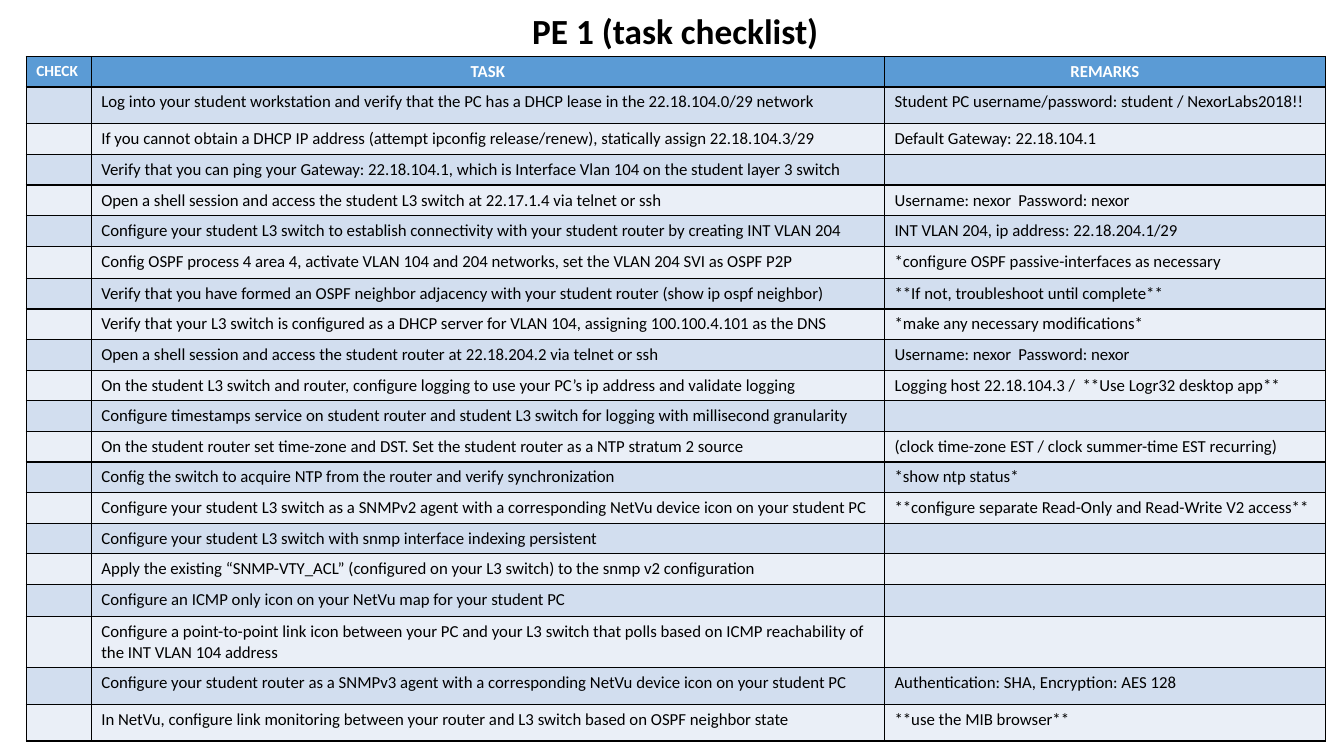
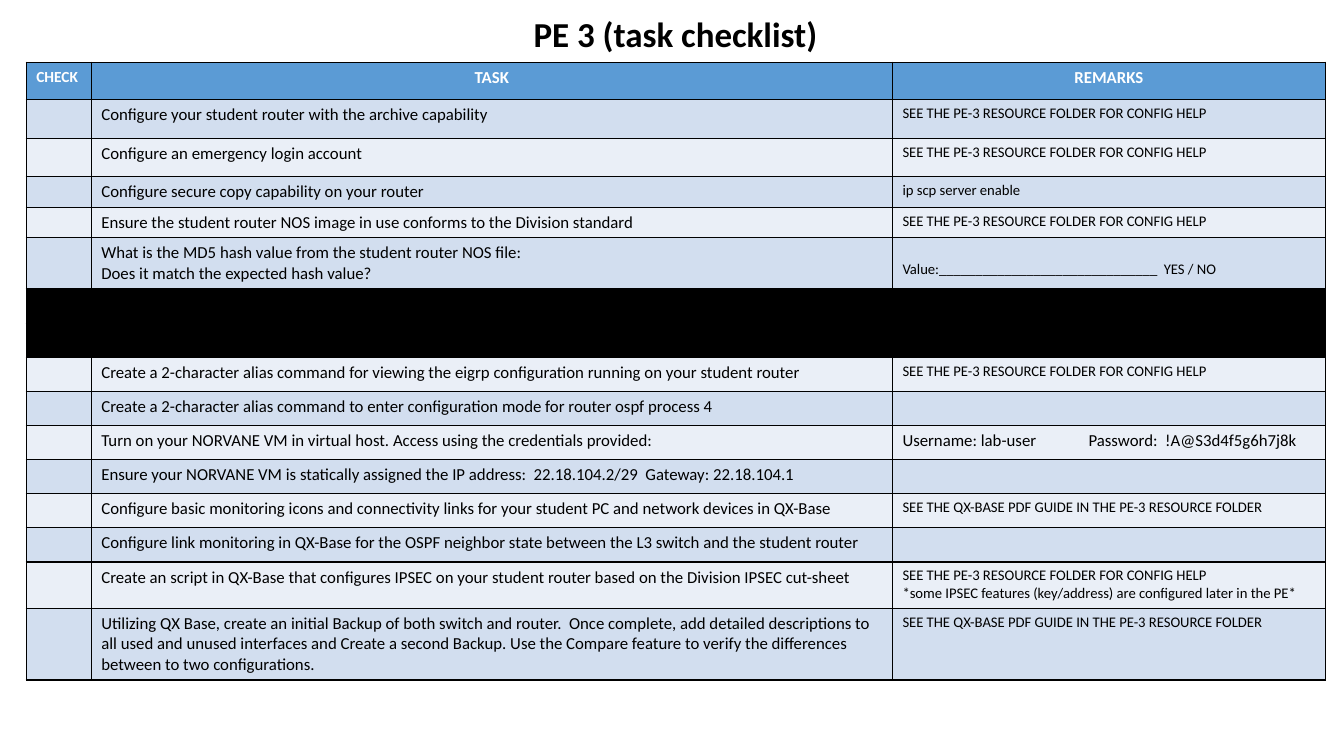
"""Build two task checklist slides, each with a title and a banded table."""
from dataclasses import dataclass

from lxml.etree import SubElement
from pptx import Presentation
from pptx.dml.color import RGBColor as Rgb
from pptx.enum.text import MSO_ANCHOR as Anchor, MSO_AUTO_SIZE as Fit, PP_ALIGN as Align
from pptx.oxml.ns import qn
from pptx.util import Cm, Pt


@dataclass(frozen=True)
class Theme:
    """Colours, font and type sizes of the deck."""
    font: str = "Calibri"
    ink: str = "000000"
    paper: str = "FFFFFF"
    header: str = "5B9BD5"
    bands: tuple = ("EAEFF7", "D2DEEF")
    body: float = 12
    check: float = 11
    note: float = 10.5
    border: float = 1


THEME = Theme()
HEADINGS = ("CHECK", "TASK", "REMARKS")
CHECK_WIDTH, TABLE_LEFT, TABLE_WIDTH = 1.64, 0.66, 32.74
TITLE_LEFT, TITLE_WIDTH = 4.32, 25.4
FOLDER = "SEE THE PE-3 RESOURCE FOLDER FOR CONFIG HELP"
GUIDE = "SEE THE QX-BASE PDF GUIDE IN THE PE-3 RESOURCE FOLDER"
LOGIN = "Username: nexor\tPassword: nexor"

PAGES = [
    {
        "title": "PE 1 (task checklist)", "title_size": 25.2,
        "title_top": 0.13, "title_height": 1.3,
        "table_top": 1.42, "task_width": 19.99, "remark_size": THEME.body,
        "tab": 3.12, "header_height": 0.77, "lowered": (),
        "rows": [
            (0.92, "Log into your student workstation and verify that the PC has a DHCP lease in the 22.18.104.0/29 network",
             "Student PC username/password: student / NexorLabs2018!!"),
            (0.78, "If you cannot obtain a DHCP IP address (attempt ipconfig release/renew), statically assign 22.18.104.3/29",
             "Default Gateway: 22.18.104.1"),
            (0.77, "Verify that you can ping your Gateway: 22.18.104.1, which is Interface Vlan 104 on the student layer 3 switch", ""),
            (0.77, "Open a shell session and access the student L3 switch at 22.17.1.4 via telnet or ssh", LOGIN),
            (0.77, "Configure your student L3 switch to establish connectivity with your student router by creating INT VLAN 204",
             "INT VLAN 204, ip address: 22.18.204.1/29"),
            (0.81, "Config OSPF process 4 area 4, activate VLAN 104 and 204 networks, set the VLAN 204 SVI as OSPF P2P",
             "*configure OSPF passive-interfaces as necessary"),
            (0.77, "Verify that you have formed an OSPF neighbor adjacency with your student router (show ip ospf neighbor)",
             "**If not, troubleshoot until complete**"),
            (0.77, "Verify that your L3 switch is configured as a DHCP server for VLAN 104, assigning 100.100.4.101 as the DNS",
             "*make any necessary modifications*"),
            (0.77, "Open a shell session and access the student router at 22.18.204.2 via telnet or ssh", LOGIN),
            (0.77, "On the student L3 switch and router, configure logging to use your PC’s ip address and validate logging",
             "Logging host 22.18.104.3 /  **Use Logr32 desktop app**"),
            (0.77, "Configure timestamps service on student router and student L3 switch for logging with millisecond granularity", ""),
            (0.77, "On the student router set time-zone and DST. Set the student router as a NTP stratum 2 source",
             "(clock time-zone EST / clock summer-time EST recurring)"),
            (0.77, "Config the switch to acquire NTP from the router and verify synchronization", "*show ntp status*"),
            (0.77, "Configure your student L3 switch as a SNMPv2 agent with a corresponding NetVu device icon on your student PC",
             "**configure separate Read-Only and Read-Write V2 access**"),
            (0.77, "Configure your student L3 switch with snmp interface indexing persistent", ""),
            (0.78, "Apply the existing “SNMP-VTY_ACL” (configured on your L3 switch) to the snmp v2 configuration", ""),
            (0.81, "Configure an ICMP only icon on your NetVu map for your student PC", ""),
            (0.81, "Configure a point-to-point link icon between your PC and your L3 switch that polls based on ICMP reachability of the INT VLAN 104 address", ""),
            (0.92, "Configure your student router as a SNMPv3 agent with a corresponding NetVu device icon on your student PC",
             "Authentication: SHA, Encryption: AES 128"),
            (0.92, "In NetVu, configure link monitoring between your router and L3 switch based on OSPF neighbor state",
             "**use the MIB browser**"),
        ],
    },
    {
        "title": "PE 3 (task checklist)", "title_size": 25,
        "title_top": 0.15, "title_height": 1.37,
        "table_top": 1.57, "task_width": 20.19, "remark_size": THEME.note,
        "tab": 4.69, "header_height": 0.93, "lowered": (5,),
        "rows": [
            (0.98, "Configure your student router with the archive capability", FOLDER),
            (0.97, "Configure an emergency login account", FOLDER),
            (0.77, "Configure secure copy capability on your router", "ip scp server enable"),
            (0.77, "Ensure the student router NOS image in use conforms to the Division standard", FOLDER),
            (1.29, "What is the MD5 hash value from the student router NOS file:\nDoes it match the expected hash value?",
             "Value:______________________________  YES / NO"),
            (0.86, None, None),
            (0.86, None, None),
            (0.86, "Create a 2-character alias command for viewing the eigrp configuration running on your student router", FOLDER),
            (0.86, "Create a 2-character alias command to enter configuration mode for router ospf process 4", ""),
            (0.86, "Turn on your NORVANE VM in virtual host. Access using the credentials provided:",
             "Username: lab-user\tPassword:  !A@S3d4f5g6h7j8k"),
            (0.86, "Ensure your NORVANE VM is statically assigned the IP address:  22.18.104.2/29  Gateway: 22.18.104.1", ""),
            (0.86, "Configure basic monitoring icons and connectivity links for your student PC and network devices in QX-Base", GUIDE),
            (0.86, "Configure link monitoring in QX-Base for the OSPF neighbor state between the L3 switch and the student router", ""),
            (1.17, "Create an script in QX-Base that configures IPSEC on your student router based on the Division IPSEC cut-sheet",
             FOLDER + "\n*some IPSEC features (key/address) are configured later in the PE*"),
            (1.77, "Utilizing QX Base, create an initial Backup of both switch and router.  Once complete, add detailed descriptions to all used and unused interfaces and Create a second Backup. Use the Compare feature to verify the differences between to two configurations.", GUIDE),
        ],
    },
]


def write(frame, text, size=THEME.body, color=THEME.ink, bold=False,
          align=Align.LEFT, spacing=None, tab=None):
    """Write text into a frame, one paragraph per line."""
    for index, line in enumerate(text.split("\n")):
        para = frame.paragraphs[0] if index == 0 else frame.add_paragraph()
        para.alignment = align
        if spacing:
            para.line_spacing = spacing
        if "\t" in line:
            stops = SubElement(para._p.get_or_add_pPr(), qn("a:tabLst"))
            SubElement(stops, qn("a:tab"), pos=str(Cm(tab)), algn="l")
        if not line:
            SubElement(para._p, qn("a:endParaRPr"), sz=str(int(size * 100)))
            continue
        span = para.add_run()
        span.text = line
        span.font.name = THEME.font
        span.font.size = Pt(size)
        span.font.bold = bold
        span.font.color.rgb = Rgb.from_string(color)


def paint(cell, color):
    """Give a cell its border and fill."""
    properties = cell._tc.get_or_add_tcPr()
    for side in ("lnL", "lnR", "lnT", "lnB"):
        line = SubElement(properties, qn(f"a:{side}"), w=str(Pt(THEME.border)))
        fill = SubElement(line, qn("a:solidFill"))
        SubElement(fill, qn("a:srgbClr"), val=THEME.ink)
    cell.fill.solid()
    cell.fill.fore_color.rgb = Rgb.from_string(color)


def add_title(page, content):
    """Place and format the slide title."""
    title = page.shapes.title
    title.left, title.width = Cm(TITLE_LEFT), Cm(TITLE_WIDTH)
    title.top, title.height = Cm(content["title_top"]), Cm(content["title_height"])
    frame = title.text_frame
    frame.auto_size = Fit.NONE
    frame.vertical_anchor = Anchor.BOTTOM
    write(frame, content["title"], size=content["title_size"], bold=True,
          align=Align.CENTER, spacing=0.9)


def add_checklist(page, content):
    """Add the table of tasks and remarks."""
    rows = content["rows"]
    heights = [content["header_height"]] + [row[0] for row in rows]
    task_width = content["task_width"]
    widths = (CHECK_WIDTH, task_width, TABLE_WIDTH - CHECK_WIDTH - task_width)
    table = page.shapes.add_table(
        len(heights), len(widths), Cm(TABLE_LEFT), Cm(content["table_top"]),
        Cm(TABLE_WIDTH), Cm(sum(heights))).table
    for column, width in zip(table.columns, widths):
        column.width = Cm(width)
    for row, height in zip(table.rows, heights):
        row.height = Cm(height)
    for column, heading in enumerate(HEADINGS):
        cell = table.cell(0, column)
        paint(cell, THEME.header)
        write(cell.text_frame, heading, color=THEME.paper, bold=True,
              size=THEME.body if column else THEME.check,
              align=Align.CENTER if column else Align.LEFT)
    for number, (_, task, remark) in enumerate(rows, 1):
        color = THEME.ink if task is None else THEME.bands[number % 2]
        for column, text in enumerate(("", task or "", remark or "")):
            cell = table.cell(number, column)
            paint(cell, color)
            small = column == 2 and "\t" not in text
            write(cell.text_frame, text, tab=content["tab"],
                  size=content["remark_size"] if small else THEME.body)
        if number in content["lowered"]:
            table.cell(number, 2).margin_top = Cm(0.58)


def main():
    """Build and save the deck."""
    deck = Presentation()
    deck.slide_width, deck.slide_height = Cm(33.87), Cm(19.05)
    for content in PAGES:
        page = deck.slides.add_slide(deck.slide_layouts[5])
        add_title(page, content)
        add_checklist(page, content)
    deck.save("out.pptx")


if __name__ == "__main__":
    main()
